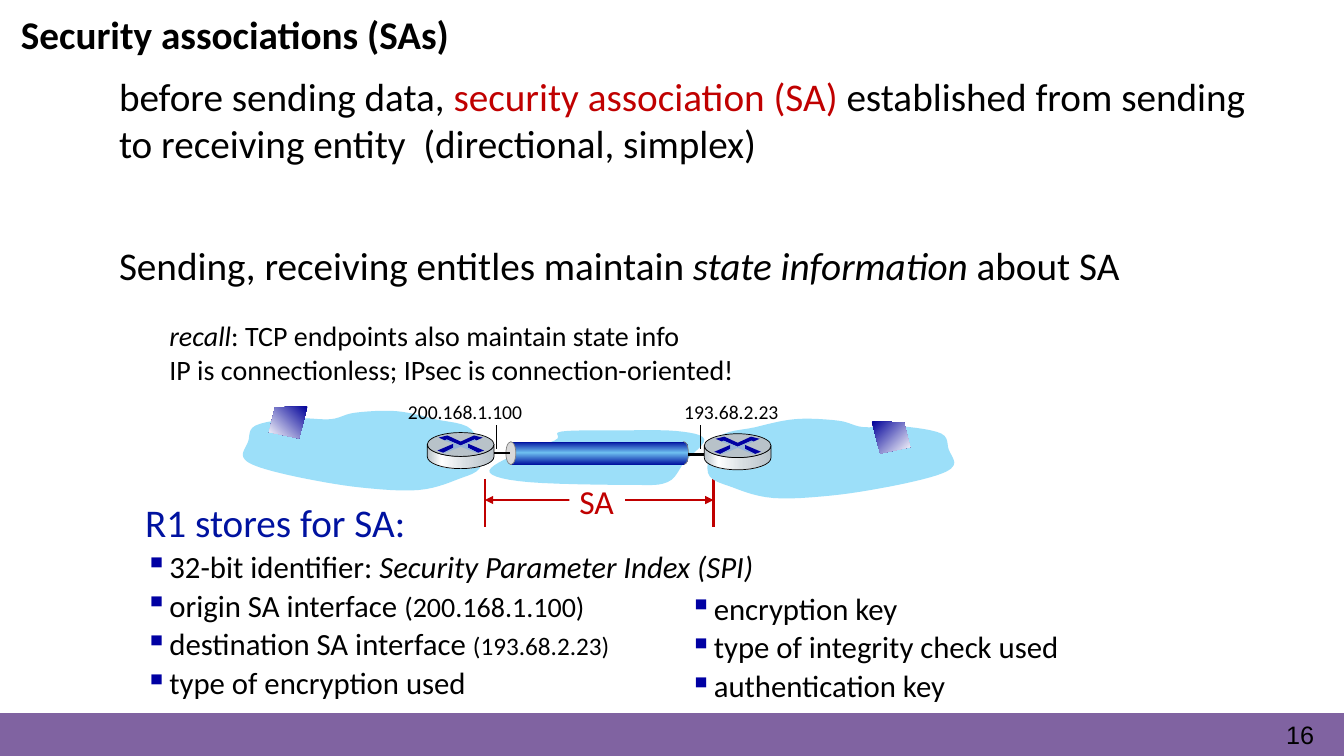
"""Build the slide on IPsec security associations."""
from collections import namedtuple
from math import cos, pi, sin

from lxml import etree
from pptx import Presentation
from pptx import util as u
from pptx.dml.color import RGBColor
from pptx.enum import shapes
from pptx.oxml.ns import qn

COLORS = {
    "black": "000000", "white": "FFFFFF", "red": "C00000", "purple": "8063A1",
    "heading": "0012A0", "navy": "0000A3", "host": "000099", "cloud": "9CDFF9",
    "steel": "B8C2C9", "silver": "D6DCE0", "cross": "95B3D7", "tube": "6EBFF0",
    "cap": "D9D9D9", "grey": "808080",
}
SITE_CLOUD = [
    (.53, .03), (.63, .11), (.78, .1), (.94, .19), (.97, .39), (.99, .58), (.92, .71), (.73, .85),
    (.5, .96), (.27, .99), (.11, .86), (.01, .68), (.05, .24), (.2, .11), (.36, .01),
]
MIDDLE_CLOUD = [
    (1, .18), (.87, .03), (.59, .02), (.34, .04), (.31, .2), (.1, .5),
    (.01, .78), (.19, .95), (.65, 1), (.83, .95), (.91, .58),
]
HOST = [(0, 0), (.84, .03), (1, .8), (.22, 1)]
CHEVRON_HALF = [(.5, .25), (.7, .08), (.83, .14), (.73, .22), (.71, .19), (.5, .36)]
LOWER_ARROW = [(.61, .31), (.85, .5), (.76, .56), (.61, .42)]
CROSS_HALF = [(.5, .36), (.71, .19), (.74, .22), (.61, .31), (.61, .42), (.76, .56), (.73, .56), (.5, .39)]
STEEL_STOPS = [(0, "steel"), (21, "white"), (60, "silver"), (100, "steel")]
TUBE_STOPS = [(0, "heading"), (52, "tube"), (100, "heading")]


class Box(namedtuple("Box", "left top width height")):
    """A region in centimetres."""

    def inner(self, left, top, width, height):
        """Return a box offset from this one's corner."""
        return Box(self.left + left, self.top + top, width, height)

    def lengths(self):
        """Return the four measures as lengths."""
        return [u.Cm(value) for value in self]


def rgb(name):
    """Look up a named colour."""
    return RGBColor.from_string(COLORS[name])


def mirror(points):
    """Flip relative points left to right."""
    return [(1 - x, y) for x, y in points]


def smooth(points, steps=6):
    """Sample a closed smooth curve through the points."""
    curve = []
    for i in range(len(points)):
        corners = [points[(i + k) % len(points)] for k in (-1, 0, 1, 2)]
        for step in range(steps):
            t = step / steps
            curve.append(tuple(
                b + t * (c - a) / 2 + t * t * (2 * a - 5 * b + 4 * c - d) / 2
                + t ** 3 * (3 * b - a - 3 * c + d) / 2
                for a, b, c, d in zip(*corners)))
    return curve


def paint(shape, fill, line=None, angle=0):
    """Fill a shape with a colour or gradient stops and outline it."""
    shape.shadow.inherit = False
    if isinstance(fill, str):
        shape.fill.solid()
        shape.fill.fore_color.rgb = rgb(fill)
    else:
        shape.fill.gradient()
        shape.fill.gradient_angle = angle
        stop_list = next(shape._element.spPr.iter(qn("a:gsLst")))
        for stop in list(stop_list):
            stop_list.remove(stop)
        for position, name in fill:
            stop = etree.SubElement(stop_list, qn("a:gs"), pos=str(position * 1000))
            etree.SubElement(stop, qn("a:srgbClr"), val=COLORS[name])
    if line:
        shape.line.color.rgb = rgb(line)
        shape.line.width = u.Pt(.5)
    else:
        shape.line.fill.background()


def add_preset(slide, box, kind, fill, line=None, angle=0):
    """Add a painted preset shape."""
    shape = slide.shapes.add_shape(kind, *box.lengths())
    paint(shape, fill, line, angle)


def add_outline(slide, box, points, fill, line=None, angle=0):
    """Add a closed outline given by points relative to the box."""
    corners = [(u.Cm(box.left + x * box.width), u.Cm(box.top + y * box.height)) for x, y in points]
    builder = slide.shapes.build_freeform(*corners[0])
    builder.add_line_segments(corners[1:], close=True)
    paint(builder.convert_to_shape(), fill, line, angle)


def add_line(slide, box, color, width, arrows=False):
    """Add a line across the box, with arrowheads at both ends on request."""
    left, top, across, down = box.lengths()
    line = slide.shapes.add_connector(shapes.MSO_CONNECTOR.STRAIGHT, left, top, left + across, top + down)
    line.line.color.rgb = rgb(color)
    line.line.width = u.Pt(width)
    if arrows:
        for end in ("a:headEnd", "a:tailEnd"):
            etree.SubElement(line.line._ln, qn(end), type="triangle")
    etree.SubElement(line._element.spPr, qn("a:effectLst"))


def add_text(slide, box, wrap=True, inset=True):
    """Add an empty text box and return its frame."""
    frame = slide.shapes.add_textbox(*box.lengths()).text_frame
    frame.word_wrap = wrap
    if not inset:
        frame.margin_left = frame.margin_top = frame.margin_right = frame.margin_bottom = 0
    return frame


def write(paragraph, *pieces, color="black", bold=False, font="Calibri"):
    """Write (text, size, style) pieces, the style being italic or a colour."""
    for words, size, *style in pieces:
        run = paragraph.add_run()
        run.text = words
        run.font.name = font
        run.font.size = u.Pt(size)
        run.font.bold = bold
        run.font.italic = "italic" in style
        run.font.color.rgb = rgb(next((name for name in style if name in COLORS), color))


def add_paragraph(frame, first):
    """Return the first paragraph or a new one."""
    return frame.paragraphs[0] if first else frame.add_paragraph()


def set_indent(paragraph, margin, indent=0):
    """Set left margin and first-line indent."""
    properties = paragraph._p.get_or_add_pPr()
    properties.set("marL", str(int(u.Cm(margin))))
    properties.set("indent", str(int(u.Cm(indent))))
    return properties


def add_list(slide, box, items, heading=None):
    """Add a bulleted list under an optional heading."""
    frame = add_text(slide, box)
    rows = ([[(heading, 28, "heading")]] if heading else []) + items
    for i, pieces in enumerate(rows):
        paragraph = add_paragraph(frame, i == 0)
        paragraph.line_spacing = .9
        if i:
            paragraph.space_before = u.Pt(4)
        properties = set_indent(paragraph, 1, -.61)
        if i or not heading:
            color = etree.SubElement(properties, qn("a:buClr"))
            etree.SubElement(color, qn("a:srgbClr"), val=COLORS["navy"])
            etree.SubElement(properties, qn("a:buChar"), char="▪")
        write(paragraph, *pieces)


def add_router(slide, box):
    """Draw a router with crossed arrows on its lid."""
    arc = [(.5 + .5 * cos(pi * k / 16), .33 + .33 * sin(pi * k / 16)) for k in range(17)]
    add_outline(slide, box, arc + [(x, y + .34) for x, y in reversed(arc)], STEEL_STOPS, "black")
    add_preset(slide, box.inner(0, 0, box.width, box.height * .66), shapes.MSO_SHAPE.OVAL, "steel", "black")
    add_outline(slide, box, CHEVRON_HALF + mirror(CHEVRON_HALF)[::-1], "navy")
    for arrow in (LOWER_ARROW, mirror(LOWER_ARROW)):
        add_outline(slide, box, arrow, "navy")
    add_outline(slide, box, CROSS_HALF + mirror(CROSS_HALF)[::-1], "cross")


def add_span(slide, box):
    """Mark the extent of the association between the routers."""
    for x in (0, box.width):
        add_line(slide, box.inner(x, 0, 0, box.height), "red", 1.75)
    add_line(slide, box.inner(0, .53, box.width, 0), "red", 1.75, arrows=True)
    label = box.inner(2.13, -.08, 1.4, 1.27)
    add_preset(slide, label, shapes.MSO_SHAPE.RECTANGLE, "white")
    write(add_text(slide, label, wrap=False).paragraphs[0], ("SA", 24), color="red")


def add_tunnel(slide, box):
    """Draw the tunnel as a lying cylinder."""
    add_preset(slide, box.inner(box.width - .23, 0, .23, box.height), shapes.MSO_SHAPE.OVAL, TUBE_STOPS, "grey", 90)
    add_preset(slide, box.inner(.13, 0, box.width - .24, box.height), shapes.MSO_SHAPE.RECTANGLE, TUBE_STOPS, angle=90)
    add_preset(slide, box.inner(0, 0, .25, box.height), shapes.MSO_SHAPE.OVAL, "cap", "grey")


def add_network(slide, box):
    """Draw two sites joined by a tunnel."""
    add_span(slide, box.inner(6.15, 2.11, 5.76, 1.22))
    add_outline(slide, box.inner(11.71, .58, 6.32, 2.03), smooth(SITE_CLOUD), "cloud")
    add_outline(slide, box.inner(0, .38, 6.12, 2.03), smooth(mirror(SITE_CLOUD)), "cloud")
    add_outline(slide, box.inner(6.22, .86, 5.46, 1.4), smooth(MIDDLE_CLOUD), "cloud")
    host_stops = [(0, "host"), (100, "white")]
    add_outline(slide, box.inner(.71, .28, .97, .81), mirror(HOST), host_stops, angle=225)
    add_outline(slide, box.inner(15.9, .66, .97, .81), HOST, host_stops, angle=315)
    add_tunnel(slide, box.inner(6.68, 1.17, 4.6, .58))
    ends = [("200.168.1.100", 4.7, .94, 6.38, 6.45, 3.96, 3.43), ("193.68.2.23", 11.68, .97, 11.28, 11.58, 10.92, 2.92)]
    for address, router, top, link, tick, label, width in ends:
        add_router(slide, box.inner(router, top, 1.68, .91))
        add_line(slide, box.inner(link, top + .52, .4, 0), "black", 1.75)
        add_line(slide, box.inner(tick, .75, 0, .6), "black", .75)
        write(add_text(slide, box.inner(label, 0, width, .86), wrap=False).paragraphs[0], (address, 14))


def add_statements(slide, box):
    """Write the main statements and their remarks."""
    rows = [
        (0, 0, [("before sending data, ", 28), ("security association (SA) ", 28, "red"),
                ("established from sending to receiving entity  (directional, simplex)", 28)]),
        (53, 0, [("Sending, receiving entitles maintain ", 28), ("state information", 28, "italic"), (" about SA", 28)]),
        (22, 1.27, [("recall", 20, "italic"), (": TCP endpoints also maintain state info", 20)]),
        (0, 1.27, [("IP is connectionless; IPsec is connection-oriented!", 20)]),
    ]
    frame = add_text(slide, box, inset=False)
    for i, (gap, margin, pieces) in enumerate(rows):
        paragraph = add_paragraph(frame, i == 0)
        if gap:
            paragraph.space_before = u.Pt(gap)
        set_indent(paragraph, margin)
        write(paragraph, *pieces)


def add_footer(slide, box):
    """Draw the bottom bar with the page number."""
    add_preset(slide, box, shapes.MSO_SHAPE.RECTANGLE, "purple", "purple")
    paragraph = add_text(slide, box.inner(31.95, .18, 1.8, .79), inset=False).paragraphs[0]
    paragraph.line_spacing = u.Pt(20.9)
    set_indent(paragraph, .46)
    write(paragraph, ("16", 18), font="Arial")


def main():
    """Assemble and save the slide."""
    presentation = Presentation()
    presentation.slide_width, presentation.slide_height = u.Cm(33.87), u.Cm(19.05)
    slide = presentation.slides.add_slide(presentation.slide_layouts[6])
    add_footer(slide, Box(0, 17.98, 33.87, 1.07))
    add_network(slide, Box(6.07, 9.96, 18.03, 3.33))
    add_list(slide, Box(3.02, 12.57, 22.68, 5.44), [
        [("32-bit identifier: ", 22), ("Security Parameter Index (SPI)", 22, "italic")],
        [("origin SA interface ", 22), ("(200.168.1.100)", 20)],
        [("destination SA interface ", 22), ("(193.68.2.23)", 18)],
        [("type of encryption used", 22)],
    ], "R1 stores for SA:")
    keys = ("encryption key", "type of integrity check used", "authentication key")
    add_list(slide, Box(16.74, 14.83, 11.71, 3.28), [[(key, 22)] for key in keys])
    add_statements(slide, Box(3, 1.83, 29.36, 12.9))
    title = add_text(slide, Box(.28, .13, 16.97, 1.45))
    write(title.paragraphs[0], ("Security associations (SAs)", 28), bold=True)
    presentation.save("out.pptx")


if __name__ == "__main__":
    main()
